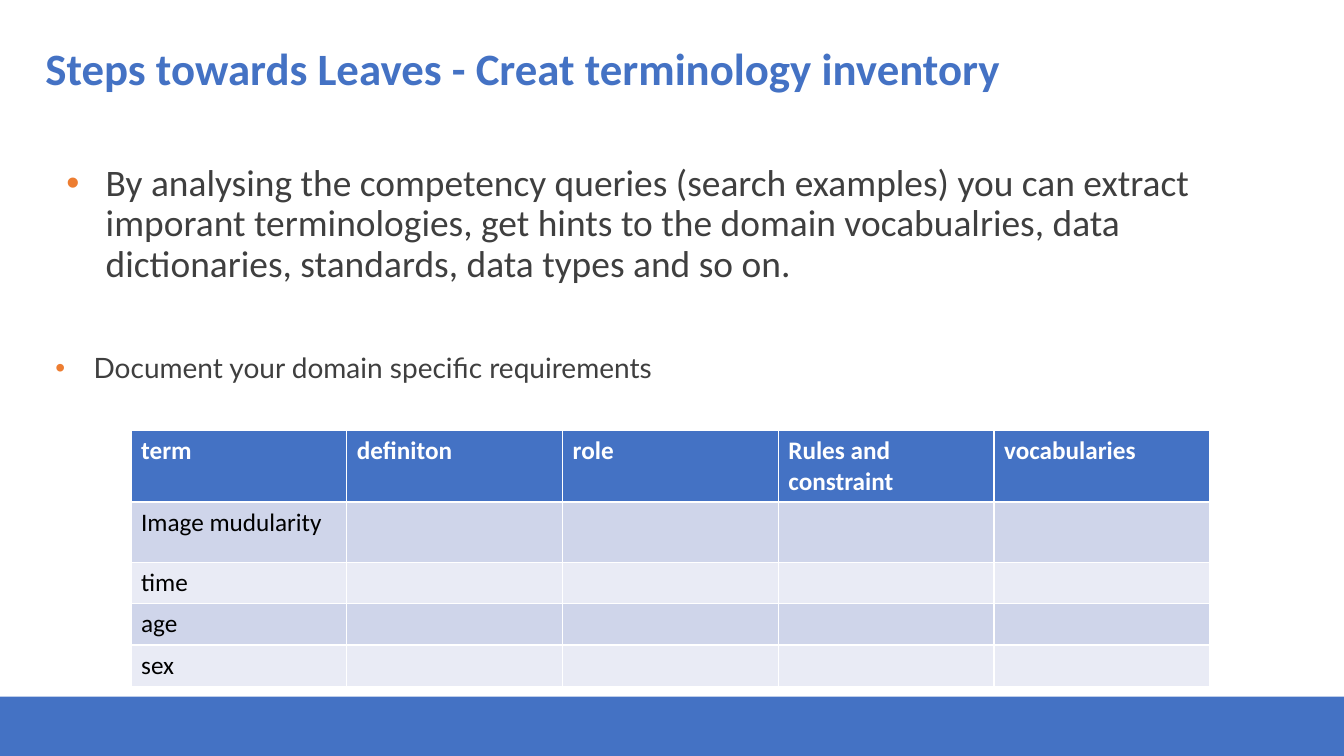
from lxml import etree
from pptx import Presentation
from pptx.dml.color import RGBColor
from pptx.enum.shapes import MSO_SHAPE
from pptx.enum.text import MSO_ANCHOR, PP_ALIGN
from pptx.oxml.ns import qn
from pptx.util import Inches, Pt

RECT = MSO_SHAPE.RECTANGLE
MIDDLE = MSO_ANCHOR.MIDDLE
LEFT = PP_ALIGN.LEFT

COLORS = {"blue": "4472C4", "orange": "ED7D31", "gray": "3F3F3F", "white": "FFFFFF",
          "black": "000000", "dark": "CFD5EA", "light": "E9EBF5"}

TITLE = "Steps towards Leaves - Creat terminology inventory"
POINTS = [
    {"text": "By analysing the competency queries (search examples) you can extract "
             "imporant terminologies, get hints to the domain vocabualries, data "
             "dictionaries, standards, data types and so on.",
     "font": {"name": "Calibri", "size": Pt(26.7)}, "left": 0.5, "hang": 0.39, "gap": 0},
    {"text": "Document your domain specific requirements",
     "font": {"name": "Lato", "size": Pt(20)}, "left": 0.38, "hang": 0.38, "gap": 49.3},
]
HEADS = ["term", "definiton", "role", "Rules and constraint", "vocabularies"]
TERMS = ["Image mudularity", "time", "age", "sex"]
HEIGHTS = [0.71, 0.6, 0.41, 0.41, 0.41]
COL = 2.14


def rgb(key):
    return RGBColor.from_string(COLORS[key])


def style(font, color, **values):
    for key, value in values.items():
        setattr(font, key, value)
    font.color.rgb = rgb(color)


def paint(fill, color):
    fill.solid()
    fill.fore_color.rgb = rgb(color)


def place(shape, *box):
    for key, value in zip(("left", "top", "width", "height"), box):
        setattr(shape, key, Inches(value))


def bullet(para, left, hang):
    props = para._p.get_or_add_pPr()
    props.set("marL", str(Inches(left)))
    props.set("indent", str(-Inches(hang)))
    tint = etree.SubElement(props, qn("a:buClr"))
    etree.SubElement(tint, qn("a:srgbClr"), val=COLORS["orange"])
    etree.SubElement(props, qn("a:buFont"), typeface="Arial")
    etree.SubElement(props, qn("a:buChar"), char="•")


def add_title(slide):
    title = slide.shapes.title
    place(title, 0.45, 0.46, 12.42, 0.48)
    frame = title.text_frame
    for side in ("left", "top", "right", "bottom"):
        setattr(frame, "margin_" + side, 0)
    frame.vertical_anchor = MIDDLE
    frame.text = TITLE
    para = frame.paragraphs[0]
    para.alignment = LEFT
    para.line_spacing = 0.9
    style(para.runs[0].font, "blue", name="Calibri", size=Pt(32), bold=True)


def add_points(slide):
    box = slide.shapes.add_textbox(*map(Inches, (0.45, 1.58, 12.42, 2.5)))
    frame = box.text_frame
    frame.word_wrap = True
    for i, point in enumerate(POINTS):
        para = frame.add_paragraph() if i else frame.paragraphs[0]
        para.line_spacing = 0.9
        para.space_before = Pt(point["gap"])
        bullet(para, point["left"], point["hang"])
        run = para.add_run()
        run.text = point["text"]
        style(run.font, "gray", **point["font"])


def add_terms(slide):
    rows = [HEADS] + [[term] + [""] * (len(HEADS) - 1) for term in TERMS]
    size = (1.3, 4.27, COL * len(HEADS), sum(HEIGHTS))
    table = slide.shapes.add_table(len(rows), len(HEADS), *map(Inches, size)).table
    for col in table.columns:
        col.width = Inches(COL)
    for r, texts in enumerate(rows):
        table.rows[r].height = Inches(HEIGHTS[r])
        head = r == 0
        back = "blue" if head else ("light", "dark")[r % 2]
        for c, text in enumerate(texts):
            cell = table.cell(r, c)
            paint(cell.fill, back)
            cell.text = text
            style(cell.text_frame.paragraphs[0].font, "white" if head else "black",
                  name="Calibri", size=Pt(18), bold=head)
            for run in cell.text_frame.paragraphs[0].runs:
                style(run.font, "white" if head else "black",
                      name="Calibri", size=Pt(18), bold=head)


def main():
    deck = Presentation()
    deck.slide_width, deck.slide_height = Inches(13.33), Inches(7.5)
    slide = deck.slides.add_slide(deck.slide_layouts[5])
    bar = slide.shapes.add_shape(RECT, *map(Inches, (0, 6.91, 13.33, 0.59)))
    bar.shadow.inherit = False
    paint(bar.fill, "blue")
    bar.line.fill.background()
    add_title(slide)
    add_points(slide)
    add_terms(slide)
    deck.save("out.pptx")


if __name__ == "__main__":
    main()
